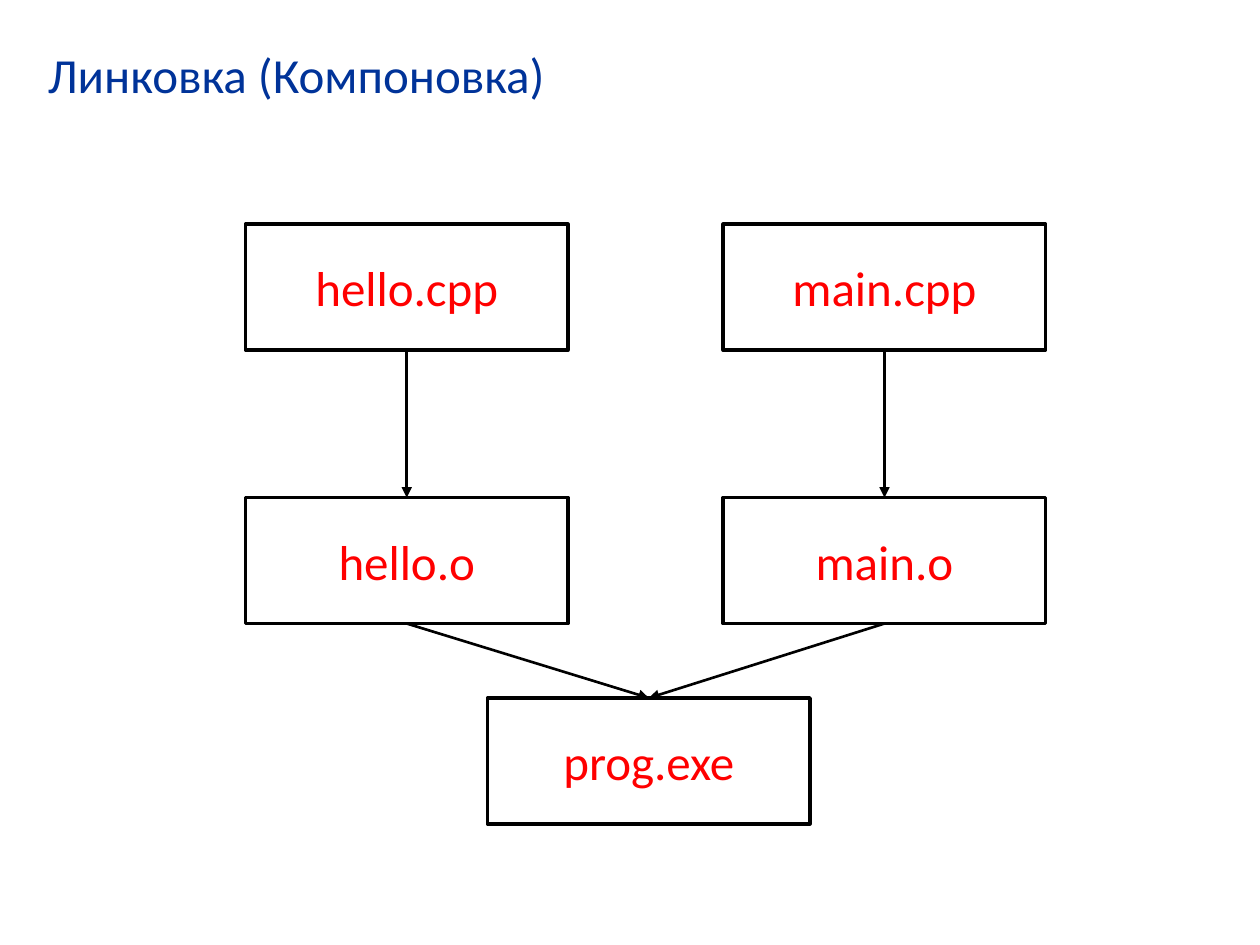
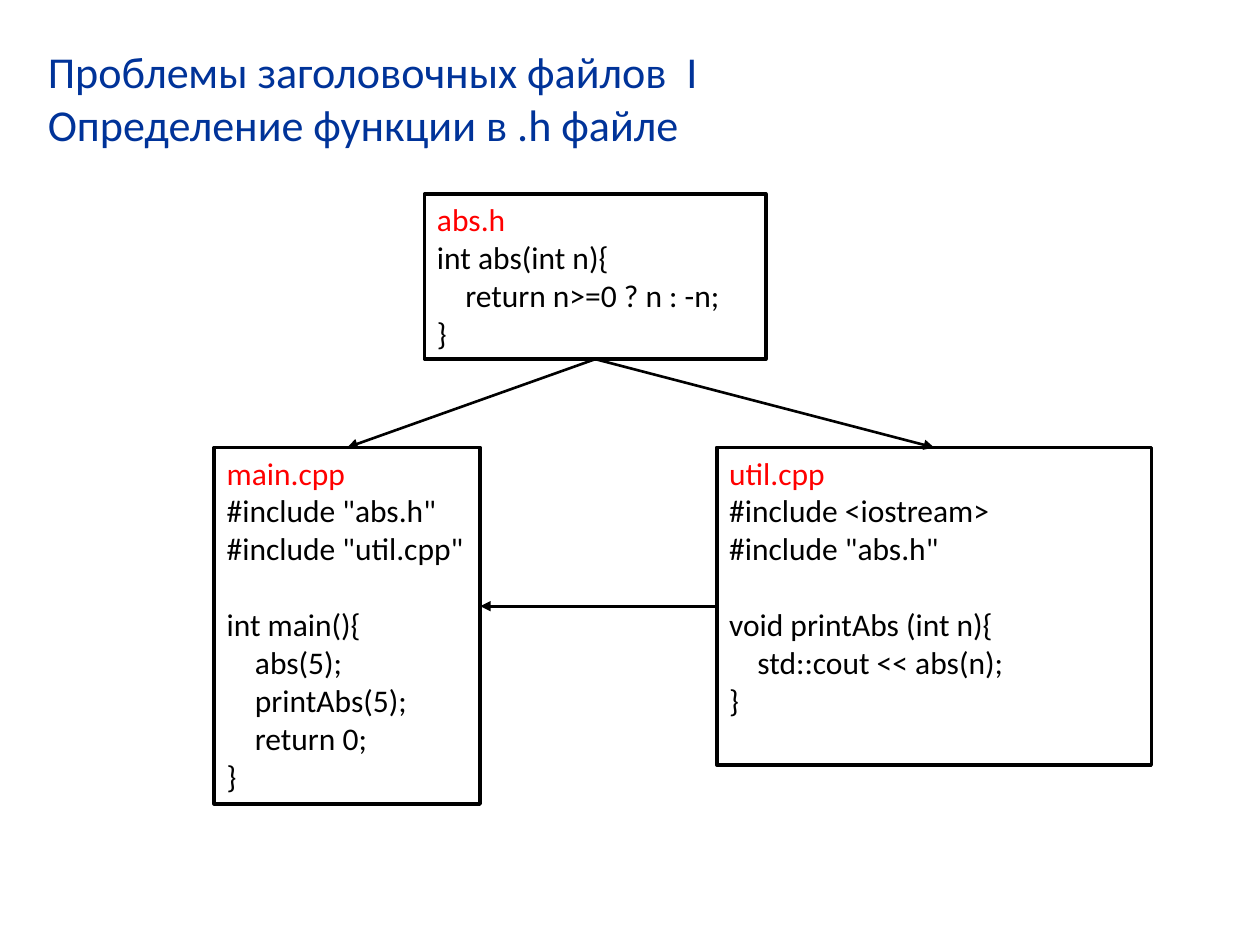
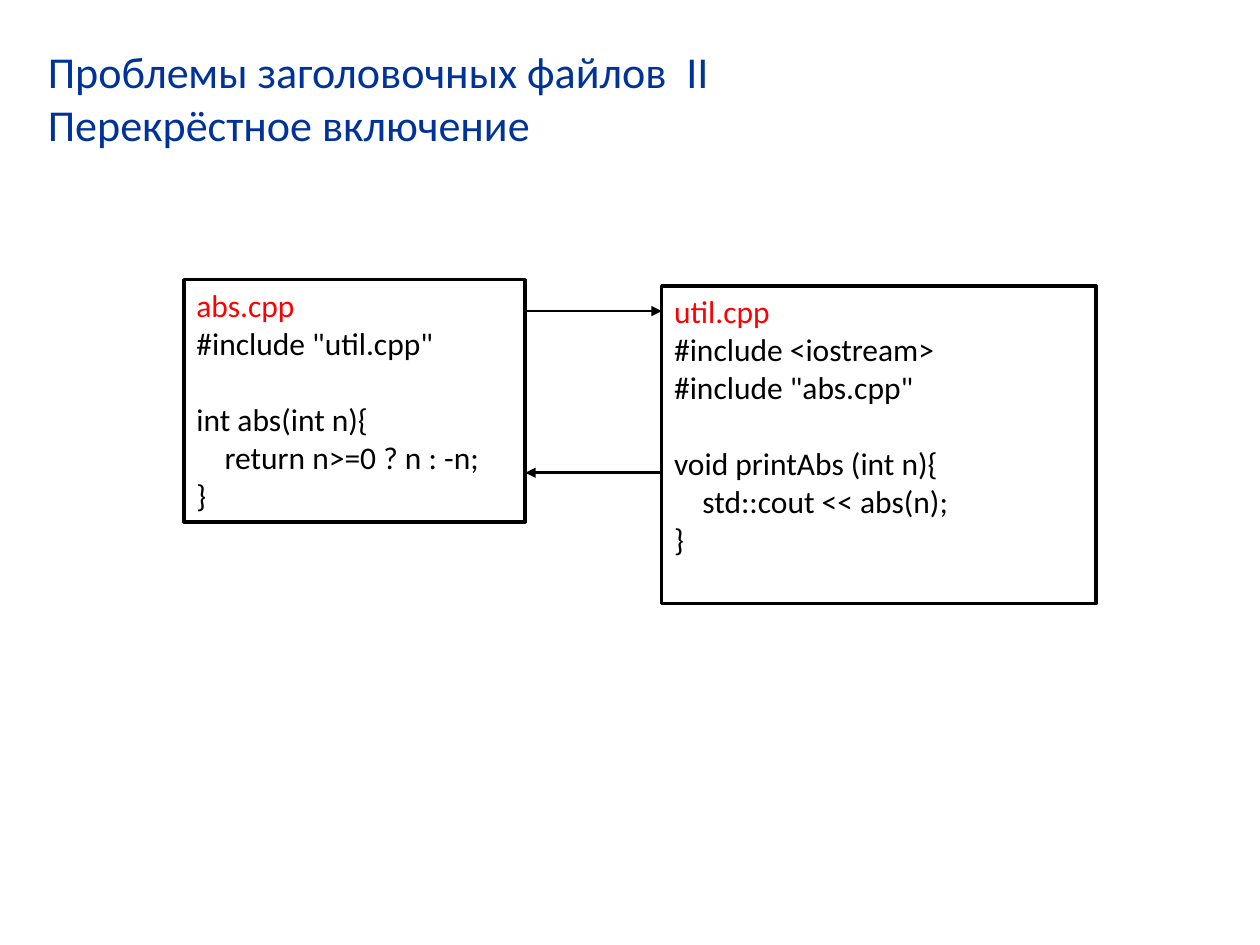
from lxml.etree import SubElement
from pptx import Presentation
from pptx.dml.color import RGBColor
from pptx.enum.shapes import MSO_CONNECTOR, MSO_SHAPE
from pptx.enum.text import MSO_ANCHOR, MSO_AUTO_SIZE, PP_ALIGN
from pptx.oxml.ns import qn
from pptx.util import Cm, Pt

FONT = "Calibri"
TITLE_COLOR = "003399"
NAME_COLOR = "FF0000"
INK = "000000"
PAPER = "FFFFFF"

TITLE_ONLY = 5
TOP, LEFT, BOTTOM = 0, 1, 2
FILE_WIDTH, FILE_HEIGHT = 6.5, 2.54
CODE_INDENT = Cm(0.57)
CODE_LINE = Pt(22)

ABS_BODY = ["int abs(int n){", "\treturn n>=0 ? n : -n;", "}"]
UTIL_BODY = ["void printAbs (int n){", "\tstd::cout << abs(n);", "}"]


def rgb(value):
    return RGBColor.from_string(value)


def set_font(paragraph, size, color):
    font = paragraph.font
    font.name = FONT
    font.size = Pt(size)
    font.color.rgb = rgb(color)


def add_titled_slide(presentation, text, size):
    slide = presentation.slides.add_slide(presentation.slide_layouts[TITLE_ONLY])
    title = slide.shapes.title
    title.left, title.top = Cm(0.71), Cm(0.76)
    title.width, title.height = Cm(24), Cm(2.36)
    frame = title.text_frame
    frame.text = text
    frame.auto_size = MSO_AUTO_SIZE.NONE
    frame.vertical_anchor = MSO_ANCHOR.TOP
    paragraph = frame.paragraphs[0]
    paragraph.alignment = PP_ALIGN.LEFT
    set_font(paragraph, size, TITLE_COLOR)
    return slide


def add_box(slide, left, top, width, height, anchor):
    box = slide.shapes.add_shape(
        MSO_SHAPE.RECTANGLE, Cm(left), Cm(top), Cm(width), Cm(height))
    box.shadow.inherit = False
    box.fill.solid()
    box.fill.fore_color.rgb = rgb(PAPER)
    box.line.color.rgb = rgb(INK)
    box.line.width = Pt(2)
    box.text_frame.word_wrap = True
    box.text_frame.vertical_anchor = anchor
    return box


def add_file(slide, name, left, top):
    box = add_box(slide, left, top, FILE_WIDTH, FILE_HEIGHT, MSO_ANCHOR.MIDDLE)
    paragraph = box.text_frame.paragraphs[0]
    paragraph.text = name
    paragraph.alignment = PP_ALIGN.CENTER
    set_font(paragraph, 28, NAME_COLOR)
    return box


def add_code(slide, name, blocks, left, top, width, height):
    """Write a file name and its code; blocks are set one line apart."""
    box = add_box(slide, left, top, width, height, MSO_ANCHOR.TOP)
    frame = box.text_frame
    frame.text = name
    set_font(frame.paragraphs[0], 18, NAME_COLOR)
    for block_number, block in enumerate(blocks):
        for line_number, line in enumerate(block):
            paragraph = frame.add_paragraph()
            paragraph.text = line.lstrip("\t")
            set_font(paragraph, 18, INK)
            if line.startswith("\t"):
                paragraph._p.get_or_add_pPr().set("marL", str(CODE_INDENT))
            if block_number and not line_number:
                paragraph.space_before = CODE_LINE
    for paragraph in frame.paragraphs:
        paragraph.alignment = PP_ALIGN.LEFT
    return box


def add_arrow(slide, start_x, start_y, end_x, end_y):
    arrow = slide.shapes.add_connector(
        MSO_CONNECTOR.STRAIGHT, start_x, start_y, end_x, end_y)
    arrow.line.color.rgb = rgb(INK)
    arrow.line.width = Pt(1.5)
    properties = arrow.element.spPr
    SubElement(properties.find(qn("a:ln")), qn("a:tailEnd"), type="triangle")
    SubElement(properties, qn("a:effectLst"))
    return arrow


def link_down(slide, upper, lower):
    arrow = add_arrow(slide, 0, 0, 0, 0)
    arrow.begin_connect(upper, BOTTOM)
    arrow.end_connect(lower, TOP)


def build_linking(presentation):
    slide = add_titled_slide(presentation, "Линковка (Компоновка)", 28)
    objects = []
    for stem, left in (("hello", 4.95), ("main", 14.58)):
        source = add_file(slide, f"{stem}.cpp", left, 4.52)
        compiled = add_file(slide, f"{stem}.o", left, 10.03)
        link_down(slide, source, compiled)
        objects.append(compiled)
    program = add_file(slide, "prog.exe", 9.83, 14.07)
    for compiled in objects:
        link_down(slide, compiled, program)


def build_definition_in_header(presentation):
    slide = add_titled_slide(
        presentation,
        "Проблемы заголовочных файлов  I\vОпределение функции в .h файле", 25.2)
    util = add_code(
        slide, "util.cpp",
        [["#include <iostream>", '#include "abs.h"'], UTIL_BODY],
        14.45, 9.02, 8.76, 6.4)
    main_file = add_code(
        slide, "main.cpp",
        [['#include "abs.h"', '#include "util.cpp"'],
         ["int main(){", "\tabs(5);", "\tprintAbs(5);", "\treturn 0;", "}"]],
        4.32, 9.02, 5.36, 7.19)
    header = add_code(slide, "abs.h", [ABS_BODY], 8.56, 3.91, 6.88, 3.33)
    link_down(slide, header, util)
    link_down(slide, header, main_file)
    middle = util.top + util.height // 2
    arrow = add_arrow(
        slide, util.left, middle, main_file.left + main_file.width, middle)
    arrow.begin_connect(util, LEFT)


def build_cross_inclusion(presentation):
    slide = add_titled_slide(
        presentation,
        "Проблемы заголовочных файлов  II\vПерекрёстное включение", 25.2)
    util = add_code(
        slide, "util.cpp",
        [["#include <iostream>", '#include "abs.cpp"'], UTIL_BODY],
        13.34, 5.77, 8.76, 6.4)
    abs_file = add_code(
        slide, "abs.cpp", [['#include "util.cpp"'], ABS_BODY],
        3.71, 5.64, 6.88, 4.88)
    abs_right = abs_file.left + abs_file.width
    add_arrow(slide, abs_right, Cm(6.27), util.left, Cm(6.27))
    add_arrow(slide, util.left, Cm(9.53), abs_right, Cm(9.53))


def main():
    presentation = Presentation()
    presentation.slide_width = Cm(25.4)
    presentation.slide_height = Cm(19.05)
    build_linking(presentation)
    build_definition_in_header(presentation)
    build_cross_inclusion(presentation)
    presentation.save("out.pptx")


if __name__ == "__main__":
    main()
